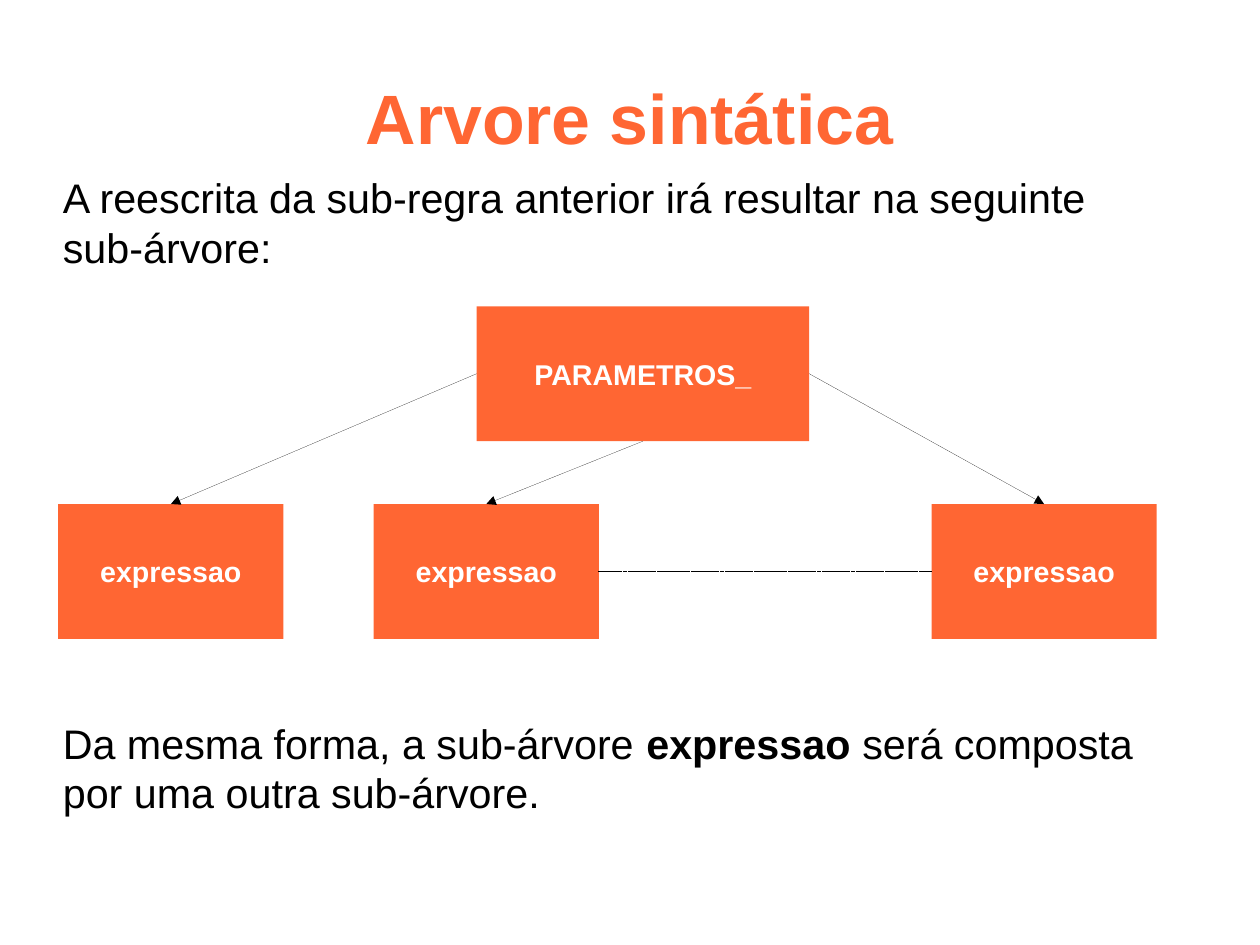
from dataclasses import dataclass

from lxml.etree import SubElement
from pptx import Presentation
from pptx.dml.color import RGBColor as RGB
from pptx.enum.dml import MSO_LINE as Dash
from pptx.enum.shapes import MSO_CONNECTOR as Connector, MSO_SHAPE as Shape
from pptx.enum.text import MSO_ANCHOR as Anchor, PP_ALIGN as Align
from pptx.oxml.ns import qn
from pptx.util import Inches, Pt

TOP, LEFT, BOTTOM, RIGHT = range(4)  # connection sites of a rectangle
CM_PER_INCH = 2.54


@dataclass(frozen=True)
class Theme:
    font: str = "Arial"
    accent: RGB = RGB(0xFF, 0x66, 0x33)
    ink: RGB = RGB(0, 0, 0)
    paper: RGB = RGB(0xFF, 0xFF, 0xFF)
    title_size: int = 44
    body_size: int = 26
    node_size: int = 18


def write(frame, spans, *, font, size, color, bold=False, align=Align.LEFT,
          anchor=Anchor.TOP, wrap=True, margin=0):
    """Fill a text frame with one paragraph of (text, bold) spans, or plain text."""
    frame.word_wrap = wrap
    frame.vertical_anchor = anchor
    frame.margin_left = frame.margin_right = Inches(margin)
    frame.margin_top = frame.margin_bottom = Inches(margin / 2)
    para = frame.paragraphs[0]
    para.alignment = align
    if isinstance(spans, str):
        spans = [(spans, bold)]
    for text, is_bold in spans:
        span = para.add_run()
        span.text = text
        span.font.name = font
        span.font.size = Pt(size)
        span.font.bold = is_bold
        span.font.color.rgb = color


class TreeSlide:
    def __init__(self, slide, theme):
        self.shapes = slide.shapes
        self.theme = theme
        slide.background.fill.solid()
        slide.background.fill.fore_color.rgb = theme.paper

    def text(self, spans, left, top, width, height, **style):
        box = self.shapes.add_textbox(*map(Inches, (left, top, width, height)))
        write(box.text_frame, spans, font=self.theme.font, **style)

    def title(self, text):
        self.text(text, 0.55, 0.33, 9.92, 1.38, size=self.theme.title_size,
                  color=self.theme.accent, bold=True, align=Align.CENTER,
                  anchor=Anchor.MIDDLE)

    def body(self, spans, top):
        self.text(spans, 0.55, top, 9.7, 0.87, size=self.theme.body_size,
                  color=self.theme.ink)

    def node(self, label, left, top, width):
        box = self.shapes.add_shape(
            Shape.RECTANGLE, *map(Inches, (left, top, width, 1.18)))
        box.shadow.inherit = False
        box.fill.solid()
        box.fill.fore_color.rgb = self.theme.accent
        box.line.fill.background()
        write(box.text_frame, label, font=self.theme.font,
              size=self.theme.node_size, color=self.theme.paper, bold=True,
              align=Align.CENTER, anchor=Anchor.MIDDLE, wrap=False, margin=0.1)
        return box

    def link(self, source, source_site, target, target_site, arrow=True):
        """Join two nodes with a hairline: an arrow, or dashed if arrow is False."""
        line = self.shapes.add_connector(Connector.STRAIGHT, 0, 0, 0, 0)
        line.begin_connect(source, source_site)
        line.end_connect(target, target_site)
        line.line.color.rgb = self.theme.ink
        outline = line._element.spPr.find(qn("a:ln"))
        outline.set("w", "0")  # the width property leaves a zero out
        if arrow:
            SubElement(outline, qn("a:tailEnd"), type="triangle")
        else:
            line.line.dash_style = Dash.SQUARE_DOT
        SubElement(line._element.spPr, qn("a:effectLst"))


def main():
    deck = Presentation()
    deck.slide_width = Inches(28 / CM_PER_INCH)
    deck.slide_height = Inches(21 / CM_PER_INCH)
    page = TreeSlide(deck.slides.add_slide(deck.slide_layouts[6]), Theme())

    page.title("Arvore sintática")
    page.body("A reescrita da sub-regra anterior irá resultar na seguinte "
              "sub-árvore:", top=1.51)
    page.body([("Da mesma forma, a sub-árvore ", False), ("expressao", True),
               (" será composta por uma outra sub-árvore.", False)], top=6.28)

    root = page.node("PARAMETROS_", 4.17, 2.68, 2.91)
    children = [page.node("expressao", left, 4.41, 1.97)
                for left in (0.51, 3.27, 8.15)]
    for site, child in zip((LEFT, BOTTOM, RIGHT), children):
        page.link(root, site, child, TOP)
    page.link(children[1], RIGHT, children[2], LEFT, arrow=False)

    deck.save("out.pptx")


if __name__ == "__main__":
    main()
